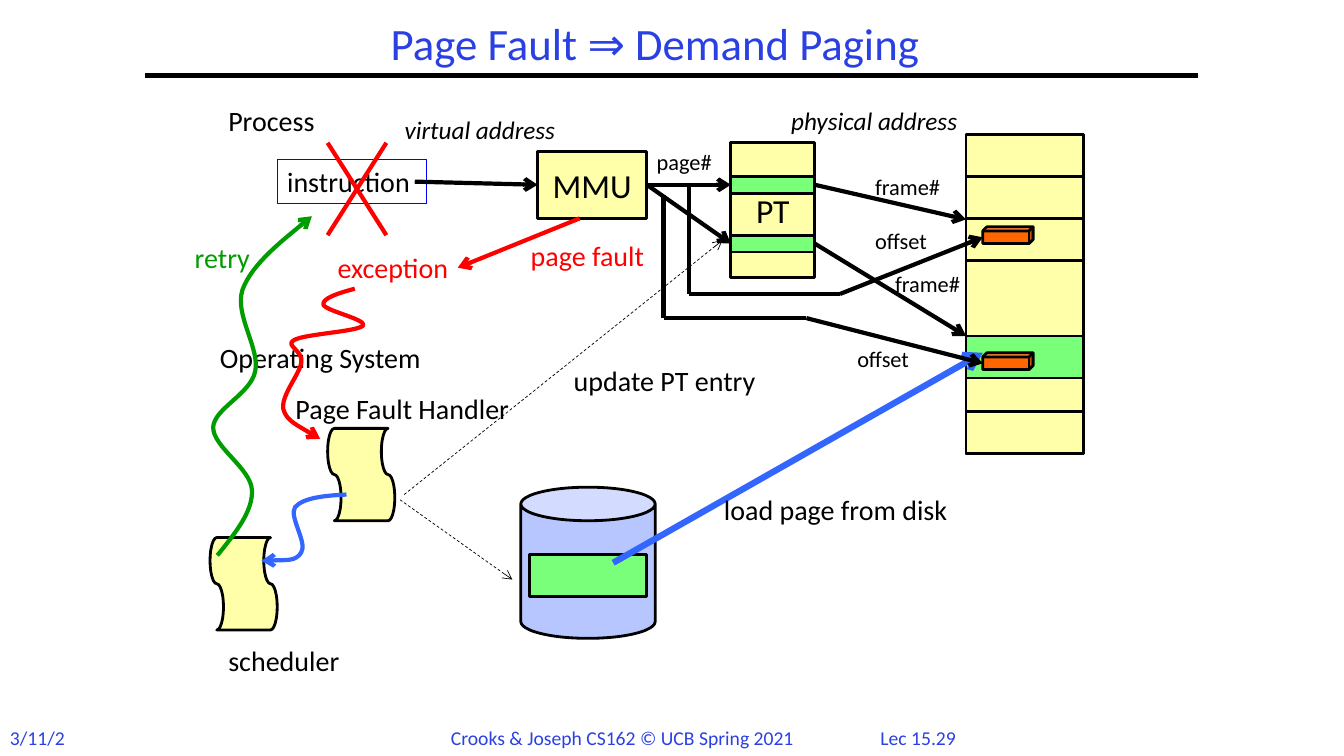
from pptx import Presentation
from pptx.dml.color import RGBColor
from pptx.enum.dml import MSO_LINE
from pptx.enum.shapes import MSO_CONNECTOR, MSO_SHAPE
from pptx.enum.text import MSO_ANCHOR, PP_ALIGN
from pptx.oxml import parse_xml
from pptx.oxml.ns import nsdecls, qn
from pptx.util import Pt

RECT, CAN, CUBE = MSO_SHAPE.RECTANGLE, MSO_SHAPE.CAN, MSO_SHAPE.CUBE
TAPE = MSO_SHAPE.FLOWCHART_PUNCHED_TAPE
STRAIGHT = MSO_CONNECTOR.STRAIGHT
DASH = MSO_LINE.DASH
LEFT, CENTER = PP_ALIGN.LEFT, PP_ALIGN.CENTER
TOP, MIDDLE = MSO_ANCHOR.TOP, MSO_ANCHOR.MIDDLE
PX = 9525  # EMU in one px, 96 px to the inch


class Theme:
    font = "Calibri"
    black, red, green, blue = "000000", "FF0000", "009D00", "3366FF"
    title, frame = "2A40E2", "0000FF"
    cream, mint, disk, orange = "FFFFAA", "79FF79", "B7C6FE", "FF6600"
    head, box, label, addr, small, foot = 32, 24, 20, 18, 16, 14
    thin, edge, wide, bold = 0.5, 2, 3, 4.5


def px(*nums):
    return [n * PX for n in nums]


def rgb(code):
    return RGBColor.from_string(code)


def write(shape, text, size, color=Theme.black, align=LEFT, anchor=TOP, italic=False):
    frame = shape.text_frame
    frame.text = text
    frame.word_wrap = True
    frame.vertical_anchor = anchor
    para = frame.paragraphs[0]
    para.alignment = align
    font = para.runs[0].font
    font.name, font.size, font.italic = Theme.font, Pt(size), italic
    font.color.rgb = rgb(color)
    return frame


def label(slide, text, area, size=Theme.label, color=Theme.black, **style):
    return write(slide.shapes.add_textbox(*px(*area)), text, size, color, **style)


def block(slide, area, fill, kind=RECT, text=None):
    shape = slide.shapes.add_shape(kind, *px(*area))
    shape.shadow.inherit = False
    shape.fill.solid()
    shape.fill.fore_color.rgb = rgb(fill)
    pen(shape, Theme.black, Theme.edge)
    if text:
        write(shape, text, Theme.box, align=CENTER, anchor=MIDDLE)
    return shape


def pen(shape, color, width, tip=False):
    shape.line.color.rgb = rgb(color)
    shape.line.width = Pt(width)
    if tip:
        ln = shape._element.spPr.find(qn("a:ln"))
        ln.append(parse_xml(f'<a:tailEnd {nsdecls("a")} type="arrow"/>'))


def line(slide, start, end, color=Theme.black, width=Theme.wide, tip=True, dash=None):
    """Draw a line; each end is a point or a (shape, side) pair to join."""
    spots = [(0, 0) if hasattr(p[0], "shape_id") else p for p in (start, end)]
    wire = slide.shapes.add_connector(STRAIGHT, *px(*spots[0], *spots[1]))
    for point, join in ((start, wire.begin_connect), (end, wire.end_connect)):
        if hasattr(point[0], "shape_id"):
            join(*point)
    if dash:
        wire.line.dash_style = dash
    pen(wire, color, width, tip)
    wire._element.spPr.append(parse_xml(f'<a:effectLst {nsdecls("a")}/>'))


def bent(slide, points):
    last = len(points) - 2
    for i, pair in enumerate(zip(points, points[1:])):
        line(slide, *pair, tip=i == last)


def curve(slide, points, color):
    """Draw a Bezier curve: a start, then two controls and an end per part."""
    build = slide.shapes.build_freeform(*points[0], scale=PX)
    build.add_line_segments(points[1:], close=False)
    shape = build.convert_to_shape()
    shape.shadow.inherit = False
    shape.fill.background()
    steps = list(shape._element.iter(qn("a:lnTo")))
    for first, second, third in zip(steps[::3], steps[1::3], steps[2::3]):
        first.tag = qn("a:cubicBezTo")
        for step in (second, third):
            first.append(step[0])
            step.getparent().remove(step)
    pen(shape, color, Theme.wide, tip=True)


def frame(slide):
    # Title, rule and footer
    title = slide.shapes.title
    title.left, title.top, title.width, title.height = px(232, 16, 784, 56)
    text = write(title, "Page Fault ⇒ Demand Paging", Theme.head, Theme.title, CENTER, MIDDLE)
    text.paragraphs[0].line_spacing = 0.9
    line(slide, (138, 72), (1141, 72), tip=False)
    date = label(slide, "3/11/21", (0, 687, 77, 32), Theme.foot, Theme.title)
    date.word_wrap = False
    label(slide, "Crooks & Joseph CS162 © UCB Spring 2021", (420, 687, 361, 32),
          Theme.foot, Theme.title)
    label(slide, "Lec 15.29", (816, 687, 117, 32), Theme.foot, Theme.title, align=CENTER)


def labels(slide):
    for text, area, color in (
        ("Process", (208, 94, 117, 42), Theme.black),
        ("page fault", (496, 222, 137, 42), Theme.red),
        ("exception", (312, 234, 134, 42), Theme.red),
        ("retry", (176, 224, 75, 42), Theme.green),
        ("Operating System", (200, 320, 234, 42), Theme.black),
        ("Page Fault Handler", (272, 368, 252, 42), Theme.black),
        ("update PT entry", (537, 341, 210, 42), Theme.black),
        ("scheduler", (208, 608, 136, 42), Theme.black),
    ):
        label(slide, text, area, color=color)
    for text, x, y in (("virtual address", 376, 104), ("physical address", 744, 96)):
        label(slide, text, (x, y, 200, 38), Theme.addr, italic=True)
    for text, x, y in (("page#", 616, 136), ("frame#", 824, 160), ("offset", 824, 212),
                       ("frame#", 843, 253), ("offset", 807, 324)):
        label(slide, text, (x, y, 86, 36), Theme.small)


def main():
    deck = Presentation()
    deck.slide_width, deck.slide_height = px(1280, 720)
    slide = deck.slides.add_slide(deck.slide_layouts[5])
    frame(slide)

    # Memory, with the loaded page in green
    block(slide, (920, 128, 112, 304), Theme.cream)
    for y in (168, 208, 392):
        block(slide, (920, y, 112, 40), Theme.cream)
    block(slide, (920, 320, 112, 40), Theme.mint)

    # MMU, page table and its two entries
    mmu = block(slide, (512, 144, 104, 64), Theme.cream, text="MMU")
    block(slide, (696, 136, 80, 128), Theme.cream, text="PT")
    slots = [block(slide, (696, y, 80, 16), Theme.mint) for y in (168, 224)]

    # Instruction, handler, scheduler and disk
    code = slide.shapes.add_textbox(*px(264, 152, 142, 42))
    write(code, "instruction", Theme.label)
    pen(code, Theme.frame, 0.75)
    for x, y in ((300, 420), (188, 524)):
        block(slide, (x, y, 88, 64), Theme.cream, TAPE).rotation = 90
    block(slide, (496, 464, 128, 144), Theme.disk, CAN)
    block(slide, (504, 528, 112, 40), Theme.mint)
    labels(slide)

    # Load from disk, below the data in memory
    line(slide, (584, 536), (936, 336), Theme.blue, Theme.bold)
    label(slide, "load page from disk", (680, 464, 254, 42))
    for y in (216, 336):
        block(slide, (936, y, 48, 16), Theme.orange, CUBE)

    # Address translation
    line(slide, (395, 173), (mmu, 1))
    for slot, end in zip(slots, ((920, 209), (920, 320))):
        line(slide, (mmu, 3), (slot, 1))
        line(slide, (slot, 3), end)
    bent(slide, [(656, 176), (656, 280), (800, 280), (936, 226)])
    bent(slide, [(632, 186), (632, 303), (768, 303), (936, 346)])

    # Fault and the crossed-out instruction
    line(slide, (552, 208), (436, 255), Theme.red)
    for x, end in ((312, 368), (368, 312)):
        line(slide, (x, 136), (end, 224), Theme.red, tip=False)

    # Handler actions
    for start, end in (((381, 476), (488, 552)), ((385, 471), (688, 229))):
        line(slide, start, end, width=Theme.thin, dash=DASH)

    # Control flow: exception, scheduling, retry
    curve(slide, [(338, 275), (323, 279), (307, 284), (308, 290), (309, 296), (349, 304),
                  (346, 310), (341, 316), (290, 318), (280, 324), (271, 329), (289, 334),
                  (287, 345), (286, 356), (267, 377), (270, 390), (273, 401), (305, 418),
                  (305, 418)], Theme.red)
    curve(slide, [(330, 471), (309, 472), (289, 474), (281, 483), (275, 492), (293, 517),
                  (287, 526), (282, 535), (249, 534), (249, 534)], Theme.blue)
    curve(slide, [(207, 529), (224, 508), (241, 487), (240, 467), (239, 446), (203, 426),
                  (203, 407), (204, 389), (238, 376), (243, 354), (248, 332), (223, 300),
                  (231, 276), (240, 251), (297, 206), (297, 206)], Theme.green)
    deck.save("out.pptx")


if __name__ == "__main__":
    main()
